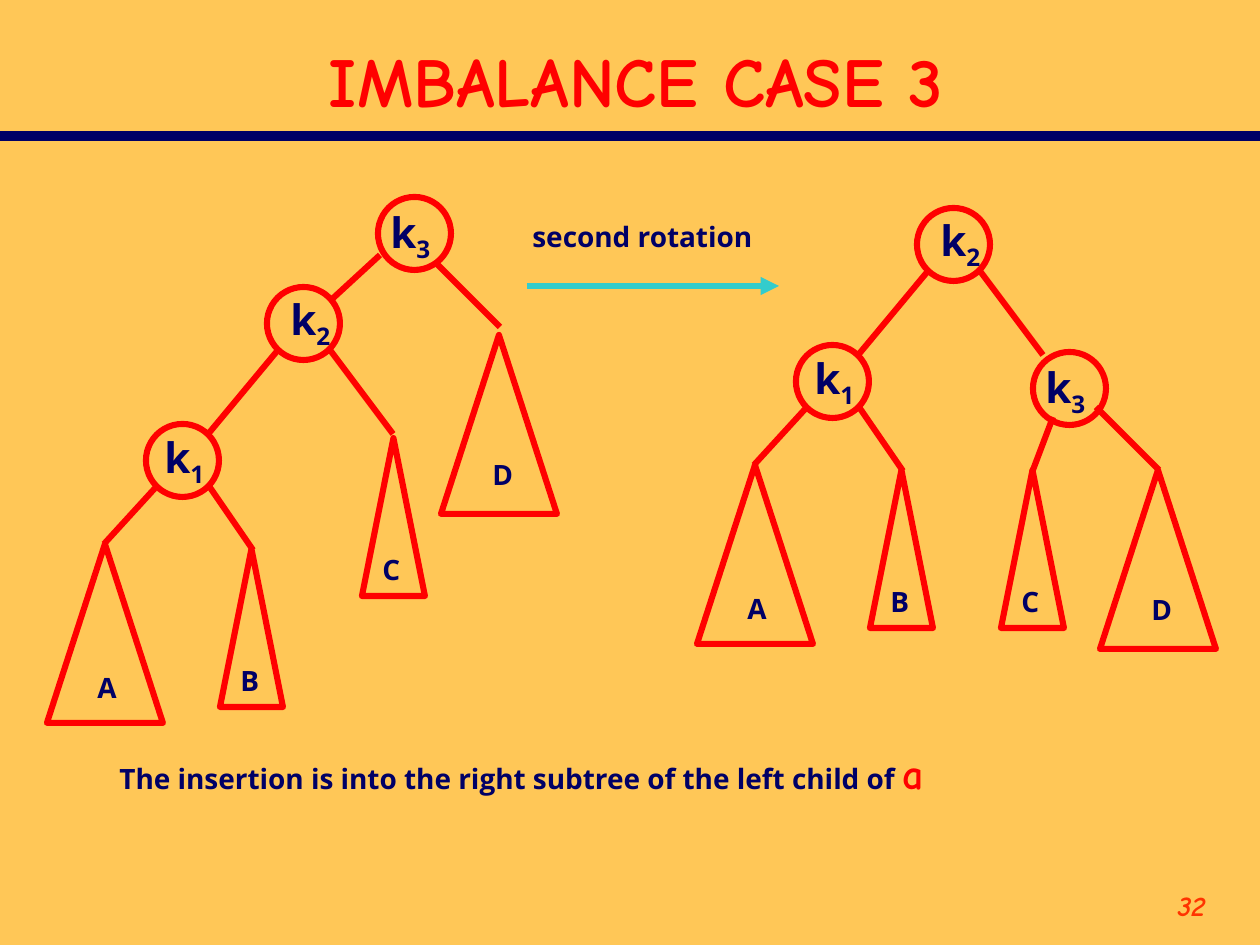
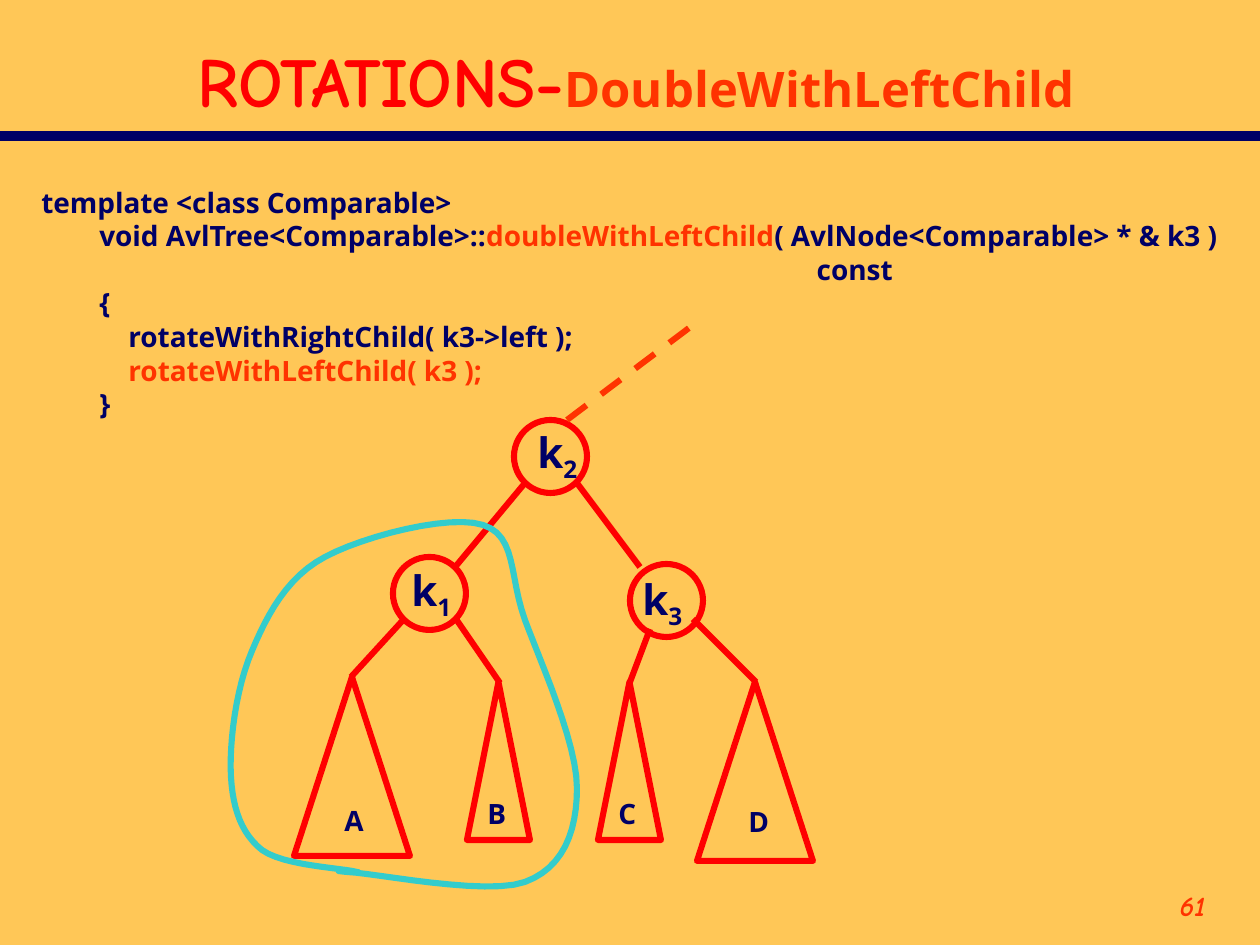
from pptx import Presentation
from pptx.dml.color import RGBColor
from pptx.enum.dml import MSO_LINE
from pptx.enum.shapes import MSO_CONNECTOR, MSO_SHAPE
from pptx.enum.text import MSO_ANCHOR, MSO_AUTO_SIZE, PP_ALIGN
from pptx.oxml.ns import qn
from pptx.util import Emu, Pt
from lxml.etree import SubElement

PX = 914400 / 126
COLORS = {"back": "FFC757", "navy": "000066", "red": "FF0000", "orange": "FF3300", "teal": "33CCCC"}
COMIC, SANS = "Comic Neue", "Open Sans"
STROKE = 3.5

STYLES = {
    "title": dict(font=COMIC, size=40, color="red"),
    "method": dict(font=SANS, size=28, color="orange"),
    "number": dict(font=COMIC, size=16, color="orange", italic=True),
    "body": dict(font=SANS, size=16, color="navy"),
    "accent": dict(font=SANS, size=16, color="orange"),
    "alpha": dict(font=COMIC, size=24, color="red"),
    "key": dict(font=SANS, size=24, color="navy"),
    "index": dict(font=SANS, size=24, color="navy", baseline=-25000),
}

CIRCLE = 73
KEY_LABEL_OFFSETS = {"1": (6, 1), "2": (11, 0), "3": (0, 3)}
WIDE, NARROW = (116, 179), (63, 158)
LEAVES = {
    "A": (WIDE, (38, 120)),
    "B": (NARROW, (8, 108)),
    "C": (NARROW, (8, 108)),
    "D": (WIDE, (39, 116)),
}

K2_BRANCH = {
    "keys": {"2": (0, 0), "1": (-121, 137)},
    "leaves": {"A": (-220, 257), "B": (-47, 262)},
    "edges": [
        ((-110, 199), (-163, 257)),
        ((-58, 199), (-14, 263)),
        ((11, 63), (-58, 146)),
        ((63, 63), (126, 147)),
    ],
}
K3_ABOVE = {
    "keys": {"3": (111, -90)},
    "leaves": {"C": (95, 151), "D": (174, 48)},
    "edges": [((113, -32), (63, 14)), ((170, -23), (233, 40))],
}
K3_BELOW = {
    "keys": {"3": (116, 144)},
    "leaves": {"C": (84, 262), "D": (183, 262)},
    "edges": [((136, 209), (116, 262)), ((179, 199), (242, 262))],
}

CAPTION = [[("The insertion is into the right subtree of the left child of ", "body"), ("a", "alpha")]]
CODE = [
    [("template <class Comparable>", "body")],
    [
        ("        void AvlTree<Comparable>::", "body"),
        ("doubleWithLeftChild", "accent"),
        ("( AvlNode<Comparable> * & k3 )", "body"),
    ],
    [(" " * 107 + "const", "body")],
    [("        {", "body")],
    [("            rotateWithRightChild( k3->left );", "body")],
    [("            ", "body"), ("rotateWithLeftChild( k3 );", "accent")],
    [("        }", "body")],
]

LOOP_START = (357, 872)
LOOP_CURVES = [
    ((343, 868), (284, 866), (262, 850)),
    ((242, 834), (233, 810), (231, 777)),
    ((229, 743), (236, 688), (252, 651)),
    ((267, 615), (287, 577), (325, 557)),
    ((364, 536), (450, 514), (483, 525)),
    ((517, 536), (509, 576), (525, 620)),
    ((541, 663), (577, 743), (577, 788)),
    ((577, 832), (563, 868), (525, 882)),
    ((486, 896), (374, 873), (347, 872)),
    ((319, 869), (370, 874), (357, 872)),
]
CURVE_STEPS = 12


def emu(*lengths):
    return [Emu(round(length * PX)) for length in lengths]


def rgb(name):
    return RGBColor.from_string(COLORS[name])


def shift(point, origin):
    return point[0] + origin[0], point[1] + origin[1]


def write(frame, paragraphs, align=PP_ALIGN.LEFT):
    frame.word_wrap = True
    for index, spans in enumerate(paragraphs):
        para = frame.add_paragraph() if index else frame.paragraphs[0]
        para.alignment = align
        for text, style_name in spans:
            style = STYLES[style_name]
            span = para.add_run()
            span.text = text
            span.font.name = style["font"]
            span.font.size = Pt(style["size"])
            span.font.bold = True
            span.font.italic = style.get("italic", False)
            span.font.color.rgb = rgb(style["color"])
            if "baseline" in style:
                span._r.get_or_add_rPr().set("baseline", str(style["baseline"]))


def add_text(slide, at, size, paragraphs, align=PP_ALIGN.LEFT):
    box = slide.shapes.add_textbox(*emu(*at, *size))
    write(box.text_frame, paragraphs, align)


def add_line(slide, start, end, color="red", width=STROKE):
    line = slide.shapes.add_connector(MSO_CONNECTOR.STRAIGHT, *emu(*start, *end))
    line.line.color.rgb = rgb(color)
    line.line.width = Pt(width)
    SubElement(line._element.spPr, qn("a:effectLst"))
    return line


def outline(shape, color="red"):
    shape.shadow.inherit = False
    shape.fill.background()
    shape.line.color.rgb = rgb(color)
    shape.line.width = Pt(STROKE)


def add_tree(slide, origin, *branches):
    for branch in branches:
        for name, place in branch["leaves"].items():
            size, label_offset = LEAVES[name]
            at = shift(place, origin)
            outline(slide.shapes.add_shape(MSO_SHAPE.ISOSCELES_TRIANGLE, *emu(*at, *size)))
            add_text(slide, shift(at, label_offset), (60, 47), [[(name, "body")]])
        for name, place in branch["keys"].items():
            at = shift(place, origin)
            outline(slide.shapes.add_shape(MSO_SHAPE.OVAL, *emu(*at, CIRCLE, CIRCLE)))
            label = [[("k", "key"), (name, "index")]]
            add_text(slide, shift(at, KEY_LABEL_OFFSETS[name]), (76, 71), label)
        for start, end in branch["edges"]:
            add_line(slide, shift(start, origin), shift(end, origin))


def curve_points(start, first, second, end):
    for step in range(1, CURVE_STEPS + 1):
        t = step / CURVE_STEPS
        weights = ((1 - t) ** 3, 3 * t * (1 - t) ** 2, 3 * t * t * (1 - t), t ** 3)
        corners = (start, first, second, end)
        yield tuple(sum(w * c[axis] for w, c in zip(weights, corners)) for axis in (0, 1))


def add_loop(slide):
    points, start = [], LOOP_START
    for curve in LOOP_CURVES:
        points.extend(curve_points(start, *curve))
        start = curve[-1]
    builder = slide.shapes.build_freeform(*emu(*LOOP_START))
    builder.add_line_segments([emu(*point) for point in points], close=True)
    outline(builder.convert_to_shape(), "teal")


def add_slide(deck, title_spans, number):
    slide = deck.slides.add_slide(deck.slide_layouts[5])
    add_line(slide, (0, 136), (1260, 136), "navy", 6)
    title = slide.shapes.title
    title.left, title.top, title.width, title.height = emu(53, 32, 1166, 94)
    title.text_frame.auto_size = MSO_AUTO_SIZE.NONE
    title.text_frame.vertical_anchor = MSO_ANCHOR.MIDDLE
    write(title.text_frame, [title_spans], PP_ALIGN.CENTER)
    add_text(slide, (1092, 882), (126, 63), [[(number, "number")]], PP_ALIGN.RIGHT)
    return slide


def add_imbalance_slide(deck):
    slide = add_slide(deck, [("IMBALANCE CASE 3", "title")], "32")
    add_text(slide, (107, 741), (900, 113), CAPTION)
    add_tree(slide, (267, 287), K2_BRANCH, K3_ABOVE)
    arrow = add_line(slide, (527, 286), (779, 286), "teal")
    SubElement(arrow.line._get_or_add_ln(), qn("a:tailEnd"), type="triangle")
    add_text(slide, (520, 213), (260, 47), [[("second rotation", "body")]])
    add_tree(slide, (917, 208), K2_BRANCH, K3_BELOW)


def add_rotations_slide(deck):
    slide = add_slide(deck, [("ROTATIONS-", "title"), ("DoubleWithLeftChild", "method")], "61")
    add_text(slide, (29, 179), (1225, 248), CODE)
    add_tree(slide, (514, 420), K2_BRANCH, K3_BELOW)
    add_loop(slide)
    parent_edge = add_line(slide, (567, 420), (693, 325), "orange")
    parent_edge.line.dash_style = MSO_LINE.DASH


def main():
    deck = Presentation()
    deck.slide_width, deck.slide_height = emu(1260, 945)
    background = deck.slide_master.background.fill
    background.solid()
    background.fore_color.rgb = rgb("back")
    add_imbalance_slide(deck)
    add_rotations_slide(deck)
    deck.save("out.pptx")


if __name__ == "__main__":
    main()
